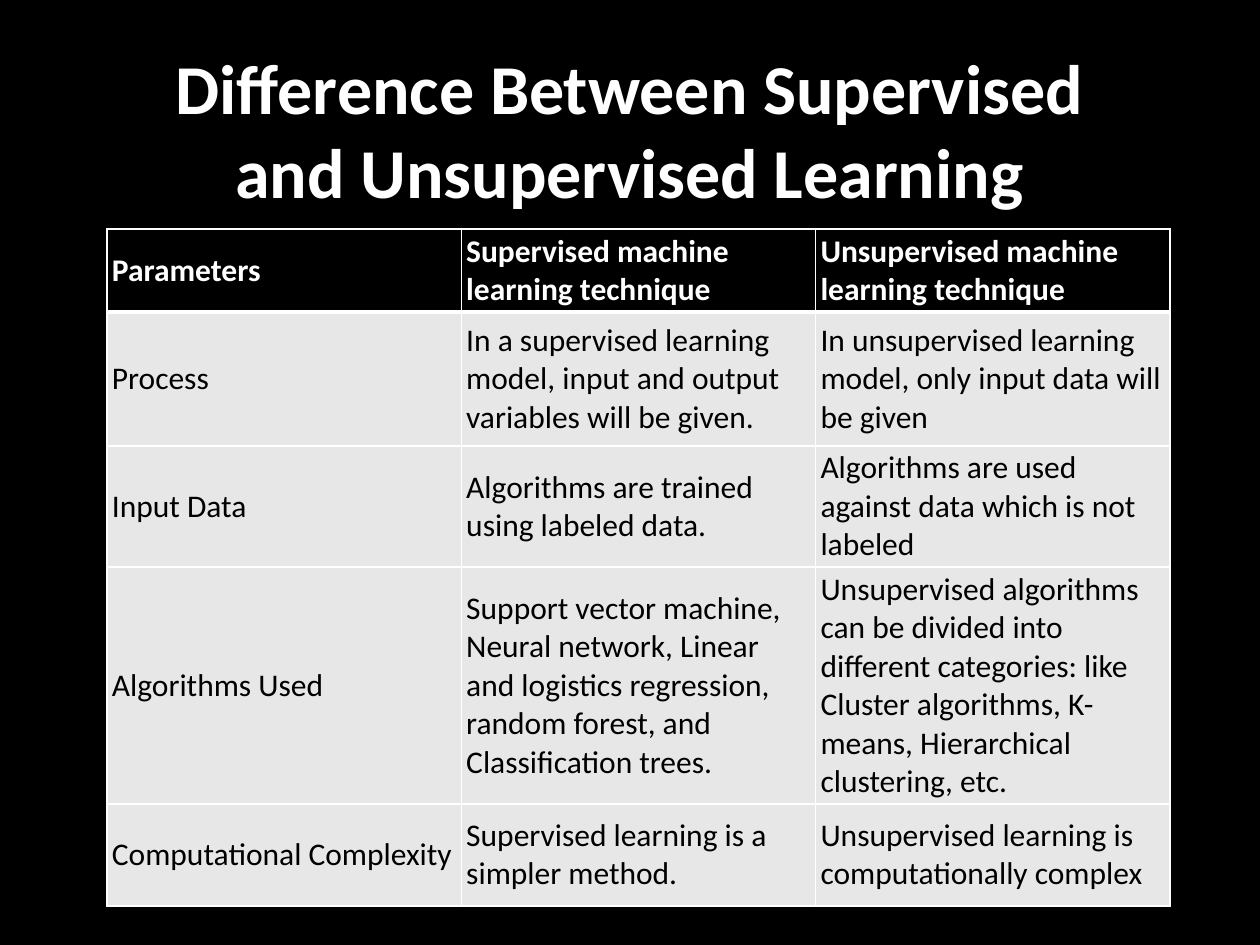
import pptx
import pptx.dml.color
import pptx.enum.text
import pptx.oxml
import pptx.oxml.ns
import pptx.util

EMU_PER_PX = 914400 / 126
FONT = "Calibri"
BLACK, WHITE, GREY = "000000", "FFFFFF", "E7E7E7"

TITLE = "Difference Between Supervised and Unsupervised Learning"
ROWS = [
    ("Parameters", "Supervised machine learning technique",
     "Unsupervised machine learning technique"),
    ("Process",
     "In a supervised learning model, input and output variables will be given.",
     "In unsupervised learning model, only input data will be given"),
    ("Input Data", "Algorithms are trained using labeled data.",
     "Algorithms are used against data which is not labeled"),
    ("Algorithms Used",
     "Support vector machine, Neural network, Linear and logistics regression, "
     "random forest, and Classification trees.",
     "Unsupervised algorithms can be divided into different categories: like "
     "Cluster algorithms, K-means, Hierarchical clustering, etc."),
    ("Computational Complexity", "Supervised learning is a simpler method.",
     "Unsupervised learning is computationally complex"),
]
ROW_HEIGHTS = [72, 134, 102, 226, 102]


def px(n):
    return pptx.util.Emu(round(n * EMU_PER_PX))


def rgb(color):
    return pptx.dml.color.RGBColor.from_string(color)


class SlideBuilder:
    def __init__(self, prs):
        self.s = prs.slides.add_slide(prs.slide_layouts[5])

    def background(self, color):
        fill = self.s.background.fill
        fill.solid()
        fill.fore_color.rgb = rgb(color)

    def run(self, p, text, size, color, bold):
        r = p.add_run()
        r.text = text
        r.font.name = FONT
        r.font.size = pptx.util.Pt(size)
        r.font.bold = bold
        r.font.color.rgb = rgb(color)

    def title(self, text, left, top, width, height):
        sp = self.s.shapes.title
        sp.left, sp.top, sp.width, sp.height = map(px, (left, top, width, height))
        tf = sp.text_frame
        tf.word_wrap = True
        tf.vertical_anchor = pptx.enum.text.MSO_ANCHOR.MIDDLE
        p = tf.paragraphs[0]
        p.alignment = pptx.enum.text.PP_ALIGN.CENTER
        self.run(p, text, 40, WHITE, True)

    def borders(self, cell, bottom):
        """Draw white cell edges; bottom is that edge's width in points."""
        tc_pr = cell._tc.get_or_add_tcPr()
        for i, (side, width) in enumerate(
                [("L", 1), ("R", 1), ("T", 1), ("B", bottom)]):
            tc_pr.insert(i, pptx.oxml.parse_xml(
                f'<a:ln{side} {pptx.oxml.ns.nsdecls("a")} w="{pptx.util.Pt(width)}">'
                f'<a:solidFill><a:srgbClr val="{WHITE}"/></a:solidFill></a:ln{side}>'))

    def cell(self, cell, text, header, bottom):
        cell.fill.solid()
        cell.fill.fore_color.rgb = rgb(BLACK if header else GREY)
        cell.margin_left = cell.margin_right = px(5)
        cell.margin_top = cell.margin_bottom = px(3)
        cell.vertical_anchor = pptx.enum.text.MSO_ANCHOR.MIDDLE
        self.run(cell.text_frame.paragraphs[0], text, 18,
                 WHITE if header else BLACK, header)
        self.borders(cell, bottom)

    def table(self, rows, heights, left, top, width):
        table = self.s.shapes.add_table(
            len(rows), len(rows[0]), px(left), px(top), px(width),
            px(sum(heights))).table
        for i, (texts, height) in enumerate(zip(rows, heights)):
            table.rows[i].height = px(height)
            for j, text in enumerate(texts):
                header = i == 0
                self.cell(table.cell(i, j), text, header,
                          3 if header else 1)


def main():
    prs = pptx.Presentation()
    prs.slide_width, prs.slide_height = px(1260), px(945)
    slide = SlideBuilder(prs)
    slide.background(BLACK)
    slide.title(TITLE, 107, 15, 1045, 228)
    slide.table(ROWS, ROW_HEIGHTS, 107, 229, 1063)
    prs.save("out.pptx")


if __name__ == "__main__":
    main()
